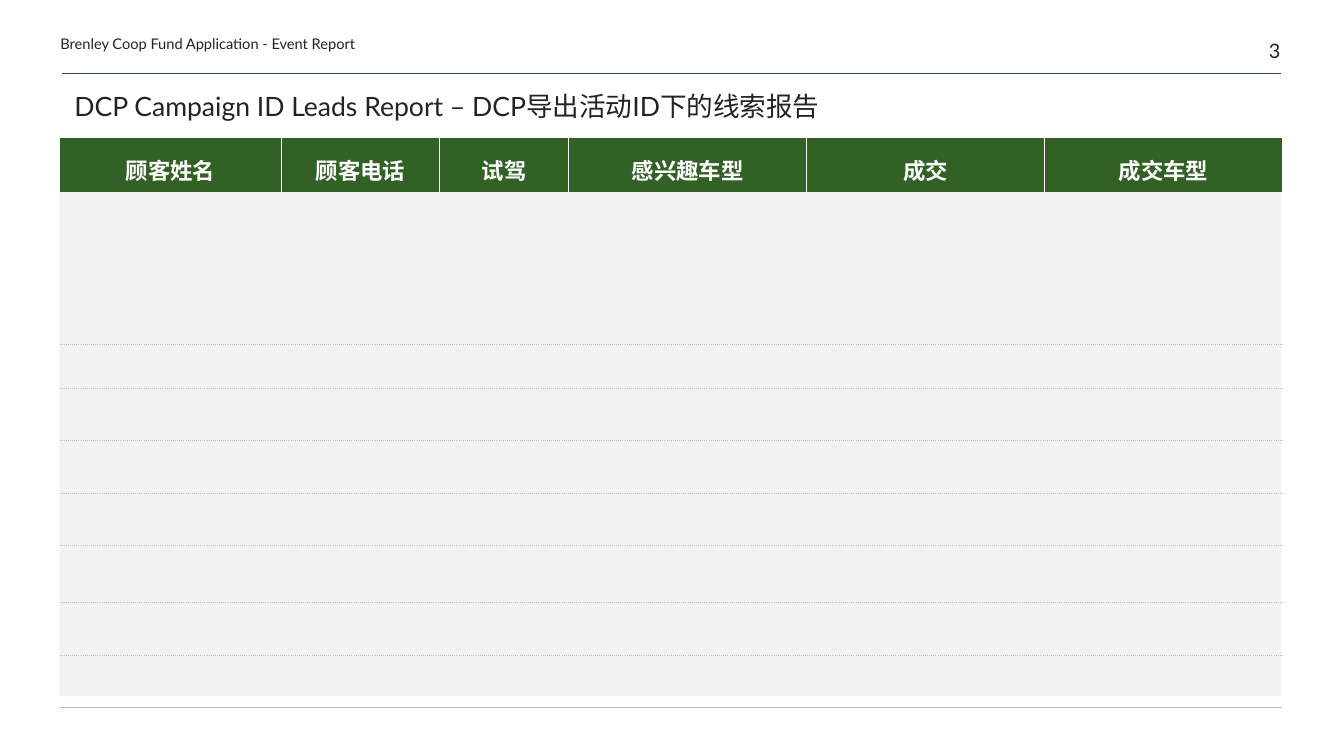
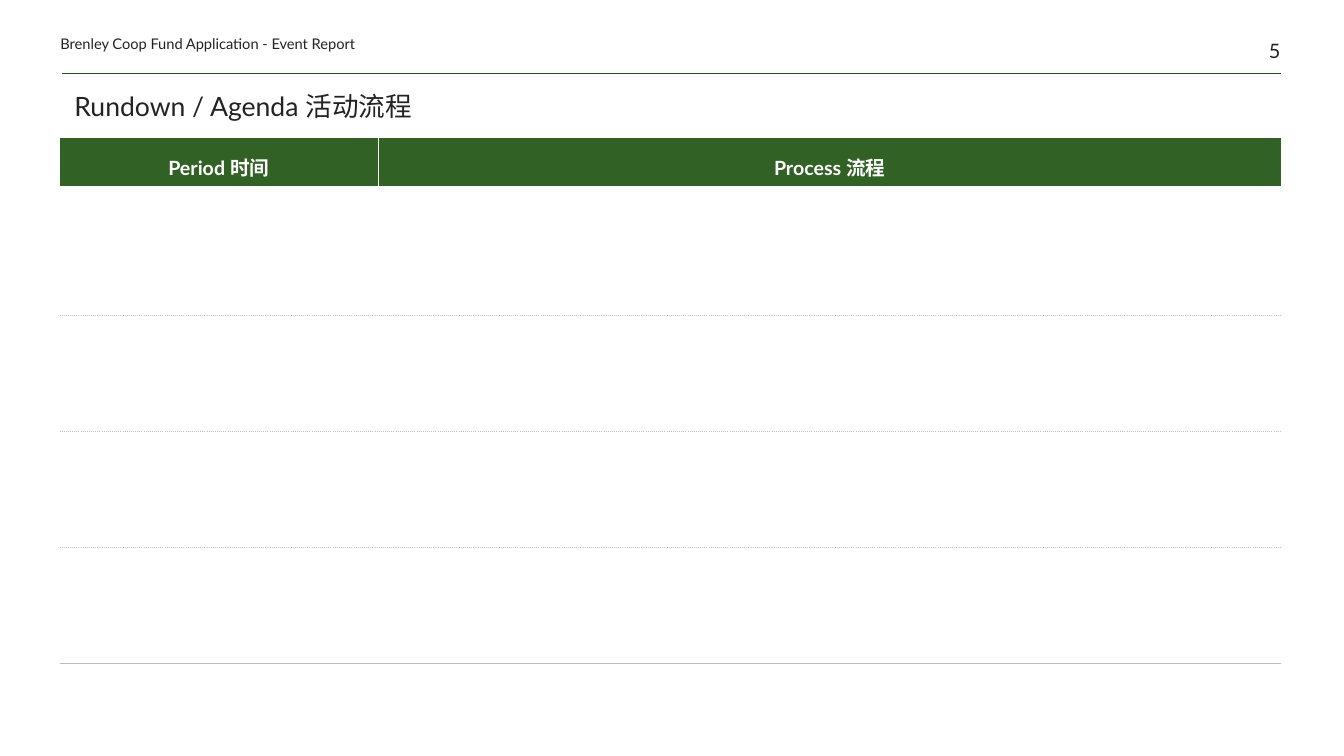
from dataclasses import dataclass

from pptx import Presentation
from pptx import util as u
from pptx.dml import color
from pptx.enum import lang, shapes, text
from pptx.oxml import ns, xmlchemy
from lxml import etree


@dataclass(frozen=True)
class Theme:
    font: str = "Lato"
    ink: str = "232323"
    rule: str = "284E1E"
    header: str = "326125"
    panel: str = "F2F2F2"
    white: str = "FFFFFF"
    dots: str = "BFBFBF"
    closing: str = "BBBCBC"
    title_size: float = 19
    number_size: float = 14.2
    label_size: float = 10.5
    plain_table: str = "{2D5ABB26-0587-4C30-8999-92F81FD0307C}"


THEME = Theme()
LABEL = "Brenley Coop Fund Application - Event Report"
TITLE_BOX = (0.64, 0.74, 12.07, 0.52)
NUMBER_BOX = (11.87, 0, 0.83, 0.62)
LABEL_BOX = (0.6, 0.29, 4.17, 0.23)
RULE = (0.62, 0.73, 12.71, 0.73)
TABLE_ORIGIN = (0.59, 1.37)
PANEL_BOX = (*TABLE_ORIGIN, 12.12, 5.54)


def inches(values):
    return [u.Inches(value) for value in values]


def rgb(value):
    return color.RGBColor.from_string(value)


def style_text(para, size, ink, bold=False, align=text.PP_ALIGN.LEFT, spacing=1.0):
    para.alignment = align
    para.line_spacing = spacing
    for span in para.runs:
        font = span.font
        font.name = THEME.font
        font.size = u.Pt(size)
        font.bold = bold
        font.color.rgb = rgb(ink)
        font.language_id = lang.MSO_LANGUAGE_ID.SIMPLIFIED_CHINESE


def add_text(page, box, words, size, inset=True, **style):
    frame = page.shapes.add_textbox(*inches(box)).text_frame
    frame.word_wrap = True
    frame.vertical_anchor = text.MSO_ANCHOR.BOTTOM
    if not inset:
        frame.margin_left = frame.margin_right = 0
        frame.margin_top = frame.margin_bottom = 0
    frame.text = words
    style_text(frame.paragraphs[0], size, THEME.ink, **style)


def add_frame(page, title, number):
    rule = page.shapes.add_connector(shapes.MSO_CONNECTOR.STRAIGHT, *inches(RULE))
    rule.line.color.rgb = rgb(THEME.rule)
    rule.line.width = u.Pt(0.5)
    etree.SubElement(rule.element.spPr, ns.qn("a:effectLst"))
    add_text(page, TITLE_BOX, title, THEME.title_size, spacing=0.85)
    add_text(page, NUMBER_BOX, str(number), THEME.number_size, inset=False,
             align=text.PP_ALIGN.RIGHT)
    add_text(page, LABEL_BOX, LABEL, THEME.label_size, inset=False)


def add_panel(page, box):
    panel = page.shapes.add_shape(shapes.MSO_SHAPE.RECTANGLE, *inches(box))
    panel.shadow.inherit = False
    panel.fill.solid()
    panel.fill.fore_color.rgb = rgb(THEME.panel)
    panel.line.fill.background()


def add_border(cell, side, ink, width, dash="solid"):
    properties = cell._tc.get_or_add_tcPr()
    line = etree.SubElement(properties, ns.qn(f"a:ln{side}"), w=str(u.Pt(width)))
    fill = etree.SubElement(line, ns.qn("a:solidFill"))
    etree.SubElement(fill, ns.qn("a:srgbClr"), val=ink)
    etree.SubElement(line, ns.qn("a:prstDash"), val=dash)


def style_header(cell, words, size, first, last):
    if not first:
        add_border(cell, "L", THEME.white, 1)
    if not last:
        add_border(cell, "R", THEME.white, 1)
    cell.fill.solid()
    cell.fill.fore_color.rgb = rgb(THEME.header)
    cell.margin_left = cell.margin_right = u.Inches(0.12)
    cell.margin_top = cell.margin_bottom = u.Inches(0.06)
    cell.vertical_anchor = text.MSO_ANCHOR.MIDDLE
    cell.text = words
    style_text(cell.text_frame.paragraphs[0], size, THEME.white, bold=True,
               align=text.PP_ALIGN.CENTER, spacing=1.3)


def style_body(cell, row, first_dotted, last_row):
    if row > first_dotted:
        add_border(cell, "T", THEME.dots, 0.25, "sysDot")
    if row == last_row:
        add_border(cell, "B", THEME.closing, 0.5)
    elif row >= first_dotted:
        add_border(cell, "B", THEME.dots, 0.25, "sysDot")
    cell.fill.background()


def add_form_table(page, origin, headings, widths, heights, size, first_dotted=1):
    box = (*origin, sum(widths), sum(heights))
    holder = page.shapes.add_table(len(heights), len(widths), *inches(box))
    for style in holder.element.iter(ns.qn("a:tableStyleId")):
        style.text = THEME.plain_table
    table = holder.table
    table.first_row = table.horz_banding = False
    for column, width in zip(table.columns, widths):
        column.width = u.Inches(width)
    for row, height in zip(table.rows, heights):
        row.height = u.Inches(height)
    last_column, last_row = len(widths) - 1, len(heights) - 1
    for index, words in enumerate(headings):
        style_header(table.cell(0, index), words, size, index == 0, index == last_column)
        for row in range(1, last_row + 1):
            style_body(table.cell(row, index), row, first_dotted, last_row)


def add_page(deck, title, number):
    page = deck.slides.add_slide(deck.slide_layouts[6])
    add_frame(page, title, number)
    return page


def leads_slide(deck):
    page = add_page(deck, "DCP Campaign ID Leads Report – DCP导出活动ID下的线索报告", 3)
    add_panel(page, PANEL_BOX)
    add_form_table(
        page, TABLE_ORIGIN,
        ["顾客姓名", "顾客电话", "试驾", "感兴趣车型", "成交", "成交车型"],
        [2.2, 1.57, 1.28, 2.36, 2.36, 2.36],
        [0.53, 0.53, 0.54, 0.44, 0.44, 0.52, 0.52, 0.52, 0.57, 0.52, 0.52],
        size=16, first_dotted=3)


def agenda_slide(deck):
    page = add_page(deck, "Rundown / Agenda 活动流程", 5)
    add_form_table(page, TABLE_ORIGIN, ["Period 时间", "Process 流程"],
                   [3.16, 8.96], [0.48, 1.28, 1.15, 1.15, 1.15], size=14)


def main():
    deck = Presentation()
    deck.slide_width, deck.slide_height = inches((13.33, 7.5))
    leads_slide(deck)
    agenda_slide(deck)
    deck.save("out.pptx")


if __name__ == "__main__":
    main()
